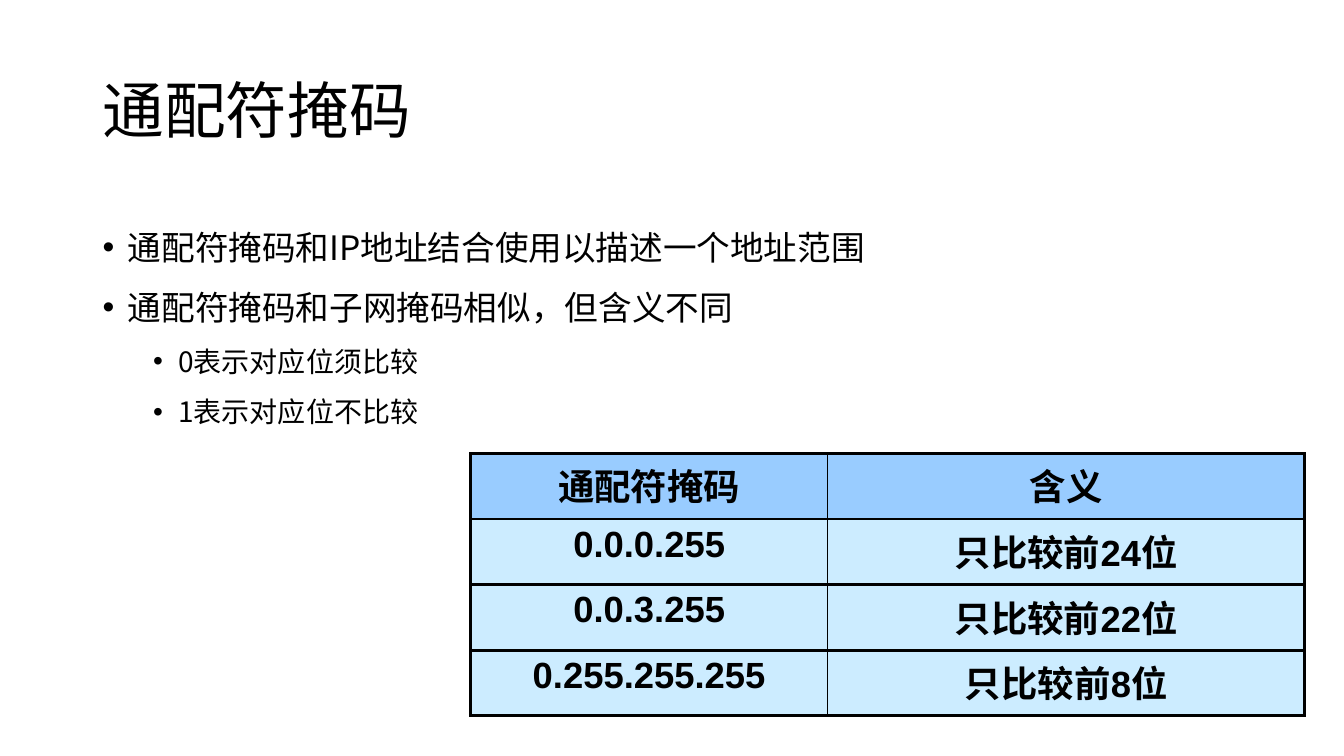
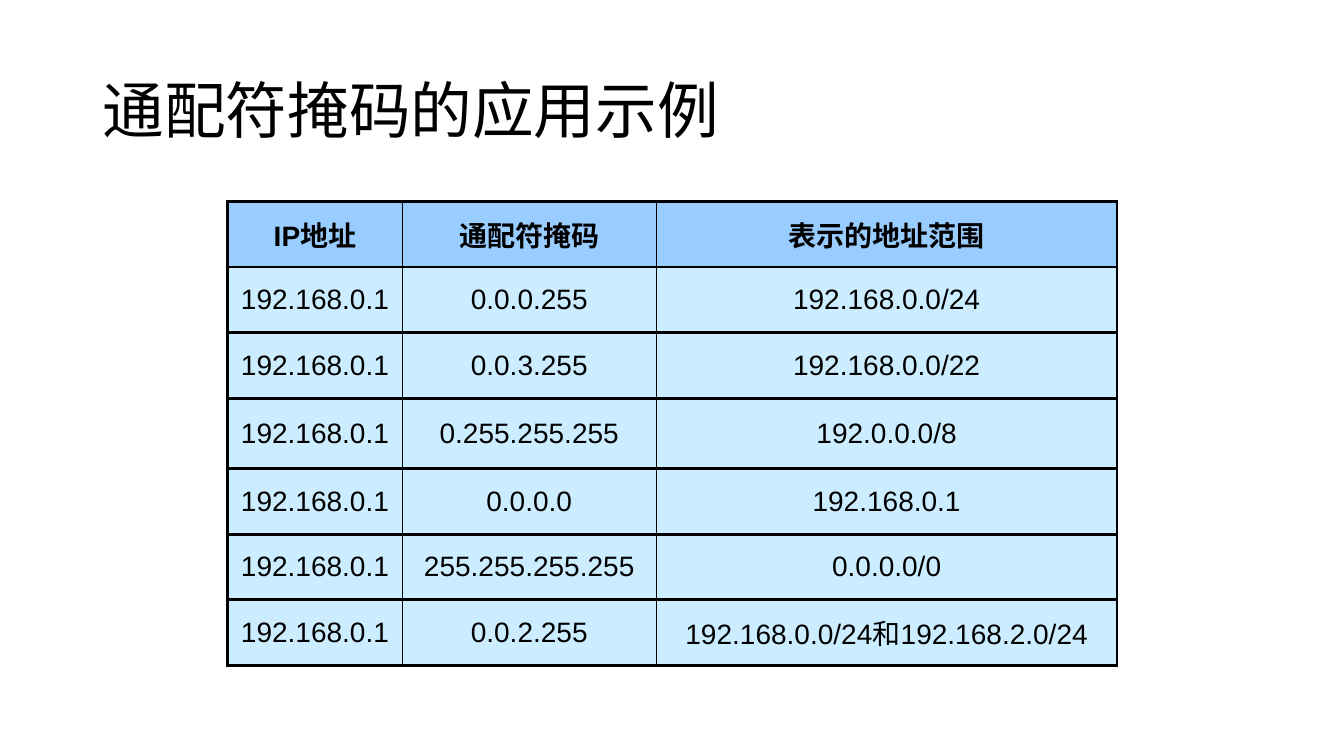
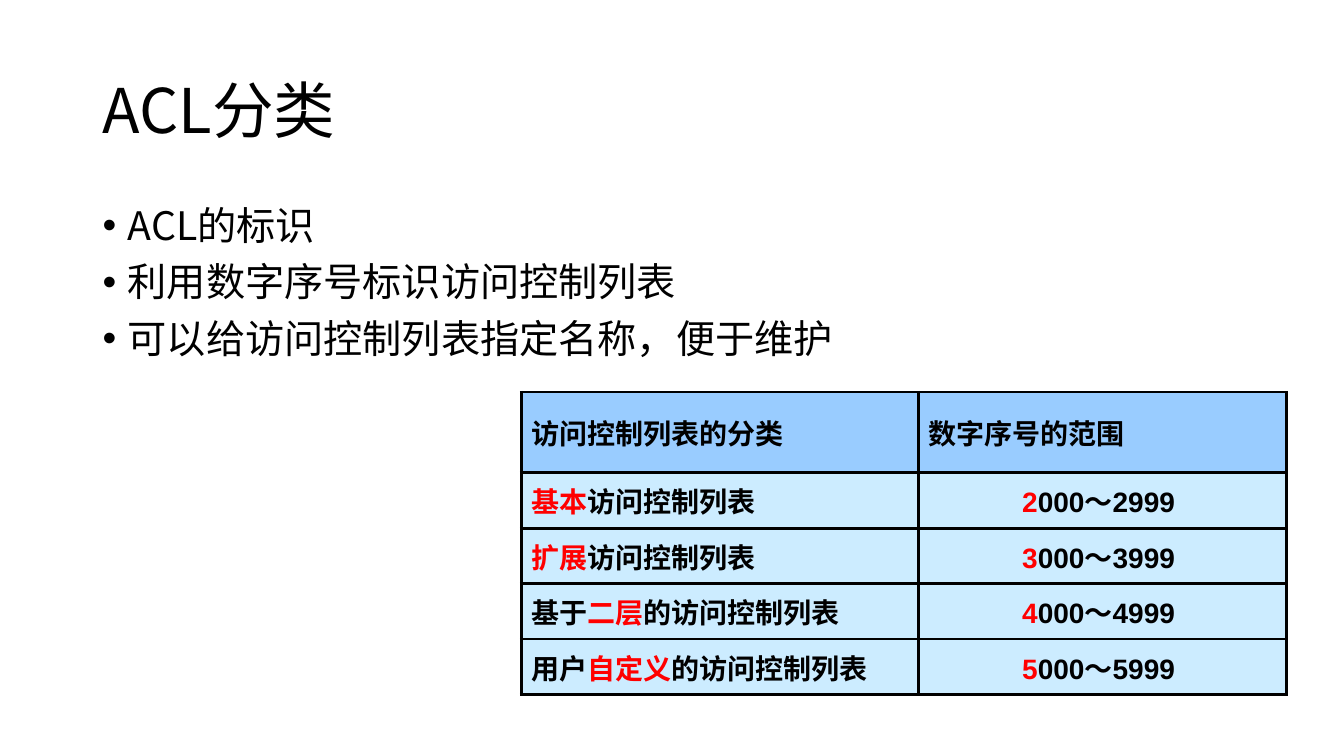
import dataclasses
import pptx
import pptx.dml.color
import pptx.enum.text
import pptx.oxml
import pptx.oxml.ns
import pptx.util

PX = 9144
ALIGN = {"l": pptx.enum.text.PP_ALIGN.LEFT, "c": pptx.enum.text.PP_ALIGN.CENTER}
TOP = pptx.enum.text.MSO_ANCHOR.TOP
MID = pptx.enum.text.MSO_ANCHOR.MIDDLE


@dataclasses.dataclass(frozen=True)
class Theme:
    ink: str = "000000"
    mark: str = "FF0000"
    head: str = "99CCFF"
    cell: str = "CCECFF"
    sans: str = "Noto Sans CJK SC"
    grid: str = "Arial"
    title: int = 44
    large: int = 28
    body: int = 24
    small: int = 20
    table: int = 26
    thick: float = 2.25
    thin: float = 1


def rgb(code):
    return pptx.dml.color.RGBColor.from_string(code)


def node(tag, attrs="", inner=""):
    space = pptx.oxml.ns.nsdecls("a")
    return pptx.oxml.parse_xml(f"<a:{tag} {space} {attrs}>{inner}</a:{tag}>")


class Deck:
    """Holds the style and the current slide, and draws each kind of element."""

    def __init__(self, theme):
        self.theme = theme
        self.file = pptx.Presentation()
        self.file.slide_width = pptx.util.Emu(1333 * PX)
        self.file.slide_height = pptx.util.Emu(750 * PX)

    def page(self, title):
        self.slide = self.file.slides.add_slide(self.file.slide_layouts[6])
        para = self.box(92, 40, 1150, 145, MID).paragraphs[0]
        para.line_spacing = 0.9
        self.text(para, title, self.theme.title, self.theme.sans)

    def box(self, left, top, width, height, anchor):
        area = (side * PX for side in (left, top, width, height))
        frame = self.slide.shapes.add_textbox(*area).text_frame
        frame.word_wrap = True
        frame.vertical_anchor = anchor
        return frame

    def text(self, para, words, size, face, bold=False):
        for spot, part in enumerate(words.split("*")):
            if not part:
                continue
            run = para.add_run()
            run.text = part
            font = run.font
            font.size = pptx.util.Pt(size)
            font.bold = bold
            font.color.rgb = rgb(self.theme.mark if spot % 2 else self.theme.ink)
            font.name = face
            run._r.get_or_add_rPr().append(
                node("ea", f'typeface="{self.theme.sans}"'))

    def list(self, items, sizes, line, before=0):
        frame = self.box(92, 200, 1150, 476, TOP)
        for spot, (level, words) in enumerate(items):
            para = frame.add_paragraph() if spot else frame.paragraphs[0]
            para.level = level
            para.line_spacing = line
            para.space_before = pptx.util.Pt(before)
            props = para._p.get_or_add_pPr()
            props.set("marL", str((25 + 50 * level) * PX))
            props.set("indent", str(-25 * PX))
            props.append(node("buFont", 'typeface="Arial"'))
            props.append(node("buChar", 'char="•"'))
            self.text(para, words, sizes[level], self.theme.sans)

    def edge(self, cell, side, width):
        fill = (f'<a:solidFill><a:srgbClr val="{self.theme.ink}"/>'
                '</a:solidFill>')
        cell._tc.get_or_add_tcPr().append(
            node(f"ln{side}", f'w="{int(width * 12700)}"', fill))

    def table(self, left, top, cols, tall, rows, size, aligns,
              bold=True, anchor=MID, inner=None):
        look = self.theme
        inner = inner or look.thick
        grid = self.slide.shapes.add_table(
            len(rows), len(cols), left * PX, top * PX,
            sum(cols) * PX, sum(tall) * PX).table
        grid.first_row = grid.horz_banding = False
        for col, width in zip(grid.columns, cols):
            col.width = width * PX
        for row, height in zip(grid.rows, tall):
            row.height = height * PX
        for y, row in enumerate(rows):
            for x, words in enumerate(row):
                cell = grid.cell(y, x)
                self.edge(cell, "L", inner if x else look.thick)
                self.edge(cell, "R", inner if x < len(cols) - 1 else look.thick)
                self.edge(cell, "T", look.thick)
                self.edge(cell, "B", look.thick)
                cell.fill.solid()
                cell.fill.fore_color.rgb = rgb(look.cell if y else look.head)
                cell.vertical_anchor = anchor
                para = cell.text_frame.paragraphs[0]
                para.alignment = ALIGN[aligns[min(y, 1)][x]]
                props = para._p.get_or_add_pPr()
                for tag, share in (("spcBef", 10), ("spcAft", 25)):
                    props.append(node(
                        tag, inner=f'<a:spcPct val="{share * 1000}"/>'))
                self.text(para, words, size, look.grid, bold or y == 0)


def main():
    theme = Theme()
    deck = Deck(theme)

    deck.page("通配符掩码")
    deck.list([(0, "通配符掩码和IP地址结合使用以描述一个地址范围"),
               (0, "通配符掩码和子网掩码相似，但含义不同"),
               (1, "0表示对应位须比较"),
               (1, "1表示对应位不比较")], (theme.body, theme.small), 1.5)
    deck.table(467, 450, (354, 473), [65] * 4,
               [("通配符掩码", "含义"),
                ("0.0.0.255", "只比较前24位"),
                ("0.0.3.255", "只比较前22位"),
                ("0.255.255.255", "只比较前8位")],
               theme.table, ("cc", "cc"), anchor=TOP, inner=theme.thin)

    deck.page("通配符掩码的应用示例")
    masks = [("0.0.0.255", "192.168.0.0/24"),
             ("0.0.3.255", "192.168.0.0/22"),
             ("0.255.255.255", "192.0.0.0/8"),
             ("0.0.0.0", "192.168.0.1"),
             ("255.255.255.255", "0.0.0.0/0"),
             ("0.0.2.255", "192.168.0.0/24和192.168.2.0/24")]
    deck.table(226, 200, (173, 252, 457), [65] * 3 + [70] + [65] * 3,
               [("IP地址", "通配符掩码", "表示的地址范围")]
               + [("192.168.0.1", *pair) for pair in masks],
               theme.small, ("ccc", "ccc"), bold=False, inner=theme.thin)

    deck.page("ACL分类")
    deck.list([(0, "ACL的标识"),
               (0, "利用数字序号标识访问控制列表"),
               (0, "可以给访问控制列表指定名称，便于维护")], (theme.large,), 0.9, 10)
    kinds = ("*基本*访问控制列表", "*扩展*访问控制列表",
             "基于*二层*的访问控制列表", "用户*自定义*的访问控制列表")
    deck.table(517, 389, (394, 365), [80] + [55] * 4,
               [("访问控制列表的分类", "数字序号的范围")]
               + [(kind, f"*{n}*000～{n}999 ") for n, kind in enumerate(kinds, 2)],
               theme.small, ("ll", "lc"))

    deck.file.save("out.pptx")


if __name__ == "__main__":
    main()
